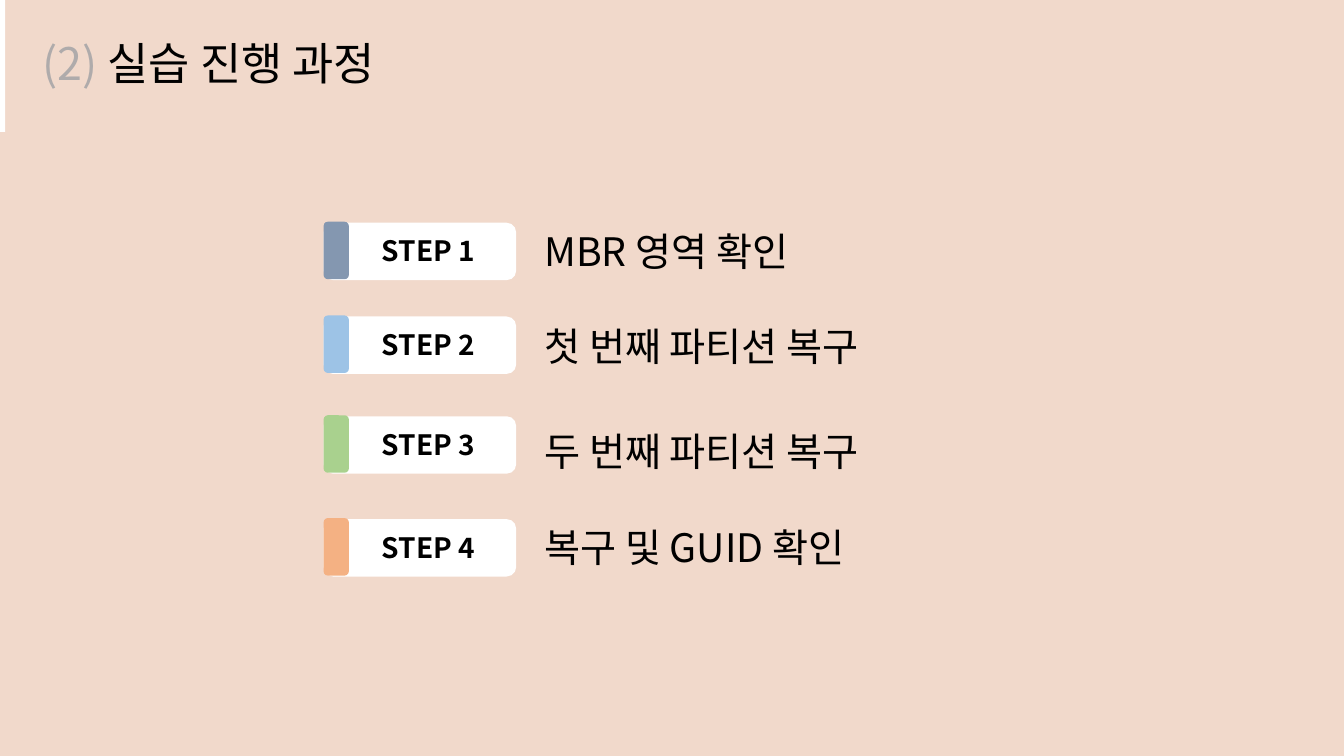
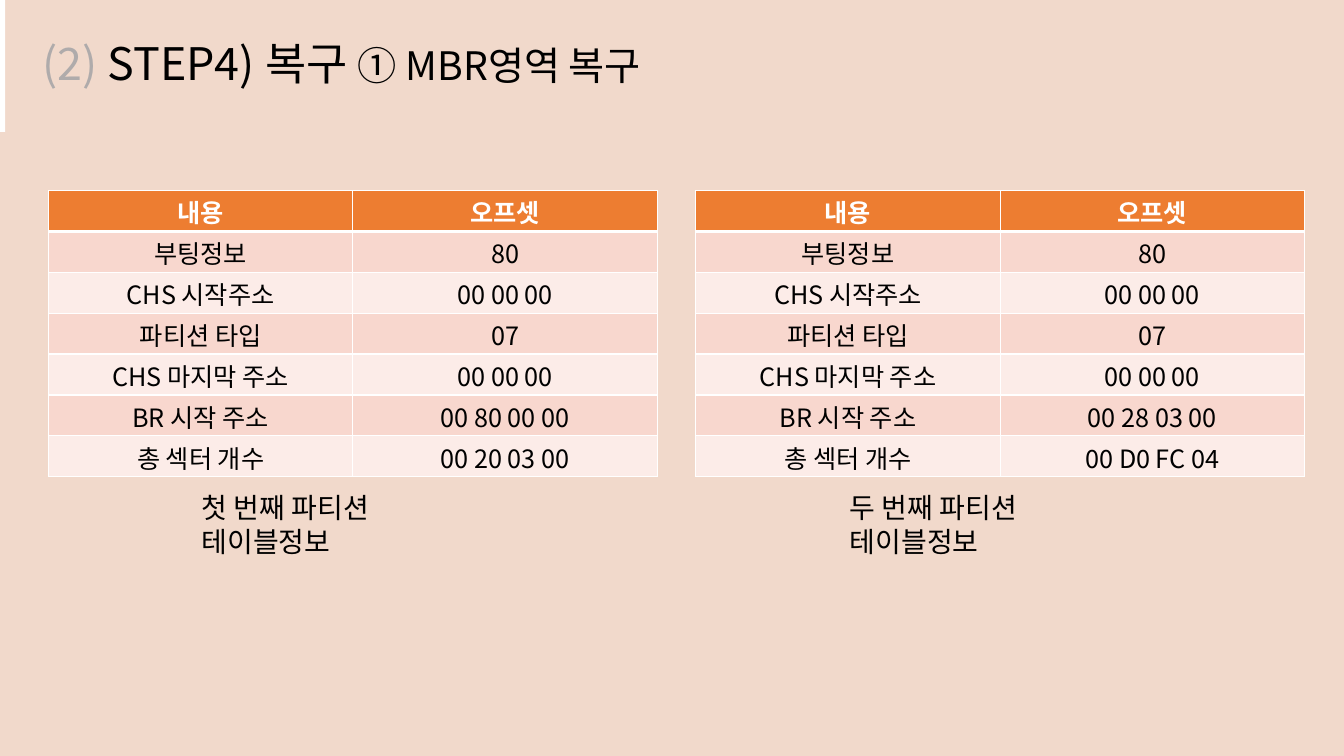
from lxml import etree
from pptx import Presentation
from pptx.dml.color import RGBColor
from pptx.enum.shapes import MSO_SHAPE as Shape
from pptx.enum.text import MSO_ANCHOR as Anchor, PP_ALIGN as Align
from pptx.oxml.ns import qn
from pptx.util import Inches, Pt

FONT = "Noto Sans CJK KR"
BACKGROUND = RGBColor(0xF1, 0xD9, 0xCB)
WHITE = RGBColor(0xFF, 0xFF, 0xFF)
BLACK = RGBColor(0x00, 0x00, 0x00)
GREY = RGBColor(0xAF, 0xAB, 0xAB)
HEADER = RGBColor(0xED, 0x7D, 0x31)
ROW_FILLS = [RGBColor(0xFC, 0xEC, 0xE8), RGBColor(0xF8, 0xD7, 0xCE)]

STEPS = [
    # label, task, label top, task top, colour
    ("STEP 1", "MBR 영역 확인", 2.21, 2.21, RGBColor(0x84, 0x97, 0xB0)),
    ("STEP 2", "첫 번째 파티션 복구", 3.14, 3.15, RGBColor(0x9D, 0xC3, 0xE6)),
    ("STEP 3", "두 번째 파티션 복구", 4.13, 4.19, RGBColor(0xA9, 0xD1, 0x8E)),
    ("STEP 4", "복구 및 GUID 확인", 5.15, 5.14, RGBColor(0xF4, 0xB1, 0x83)),
]
TITLES = [
    [("(2) ", 32, GREY), ("실습 진행 과정", 32, BLACK)],
    [("(2)", 32, GREY), (" STEP4) 복구 ", 32, BLACK), ("① MBR영역 복구", 28, BLACK)],
]
FIELDS = ["내용", "부팅정보", "CHS 시작주소", "파티션 타입", "CHS 마지막 주소",
          "BR 시작 주소", "총 섹터 개수"]
PARTITIONS = [
    # left, caption left, caption, offsets
    (0.48, 1.9, "첫 번째 파티션 테이블정보",
     ["오프셋", "80", "00 00 00", "07", "00 00 00", "00 80 00 00", "00 20 03 00"]),
    (6.9, 8.33, "두 번째 파티션 테이블정보",
     ["오프셋", "80", "00 00 00", "07", "00 00 00", "00 28 03 00", "00 D0 FC 04"]),
]


def write(frame, spans, align=Align.LEFT):
    """Fill the frame with one paragraph of (text, size, colour, bold) spans."""
    frame.word_wrap = True
    para = frame.paragraphs[0]
    para.alignment = align
    for text, size, colour, *bold in spans:
        span = para.add_run()
        span.text = text
        span.font.size = Pt(size)
        span.font.bold = bool(bold and bold[0])
        span.font.color.rgb = colour
        span.font.name = FONT
        latin = span.font._element.find(qn("a:latin"))
        east_asian = etree.Element(qn("a:ea"), typeface=FONT)
        latin.addnext(east_asian)


def add_block(page, kind, left, top, width, height, colour):
    block = page.shapes.add_shape(
        kind, Inches(left), Inches(top), Inches(width), Inches(height))
    block.shadow.inherit = False
    block.fill.solid()
    block.fill.fore_color.rgb = colour
    block.line.fill.background()


deck = Presentation()
deck.slide_width, deck.slide_height = Inches(13.33), Inches(7.5)
master_fill = deck.slide_master.background.fill
master_fill.solid()
master_fill.fore_color.rgb = BACKGROUND

pages = []
for spans in TITLES:
    page = deck.slides.add_slide(deck.slide_layouts[5])
    add_block(page, Shape.RECTANGLE, 0, 0, 0.05, 1.31, WHITE)
    title = page.shapes.title
    title.left, title.top = Inches(0.32), Inches(0.3)
    title.width, title.height = Inches(12.7), Inches(0.64)
    title.text_frame.vertical_anchor = Anchor.MIDDLE
    write(title.text_frame, spans)
    pages.append(page)
steps_page, tables_page = pages

# Steps
for label, task, top, task_top, colour in STEPS:
    add_block(steps_page, Shape.ROUNDED_RECTANGLE, 3.21, top, 1.91, 0.57, WHITE)
    add_block(steps_page, Shape.ROUNDED_RECTANGLE, 3.21, top - 0.01, 0.25, 0.57, colour)
    label_box = steps_page.shapes.add_textbox(
        Inches(3.38), Inches(top + 0.06), Inches(1.74), Inches(0.44))
    write(label_box.text_frame, [(label, 20, BLACK, True)], Align.CENTER)
    task_box = steps_page.shapes.add_textbox(
        Inches(5.3), Inches(task_top), Inches(5), Inches(0.57))
    write(task_box.text_frame, [(task, 28, BLACK)])

# Partition tables
for left, caption_left, caption, offsets in PARTITIONS:
    table = tables_page.shapes.add_table(
        len(FIELDS), 2, Inches(left), Inches(1.89), Inches(6.04), Inches(2.84)).table
    for row, texts in enumerate(zip(FIELDS, offsets)):
        is_header = row == 0
        for column, text in enumerate(texts):
            cell = table.cell(row, column)
            # Small margins keep each line inside its row height
            cell.margin_top, cell.margin_bottom = Inches(0.03), Inches(0)
            write(cell.text_frame,
                  [(text, 18, WHITE if is_header else BLACK, is_header)], Align.CENTER)
            properties = cell._tc.get_or_add_tcPr()
            for side in ("lnL", "lnR", "lnT", "lnB"):
                thick = (is_header and side == "lnB") or (row == 1 and side == "lnT")
                border = etree.SubElement(
                    properties, qn(f"a:{side}"), w=str(Pt(3 if thick else 1)))
                line_fill = etree.SubElement(border, qn("a:solidFill"))
                etree.SubElement(line_fill, qn("a:srgbClr"), val=str(WHITE))
            cell.fill.solid()
            cell.fill.fore_color.rgb = HEADER if is_header else ROW_FILLS[row % 2]
    caption_box = tables_page.shapes.add_textbox(
        Inches(caption_left), Inches(4.82), Inches(3.19), Inches(0.44))
    write(caption_box.text_frame, [(caption, 20, BLACK)])

deck.save("out.pptx")
